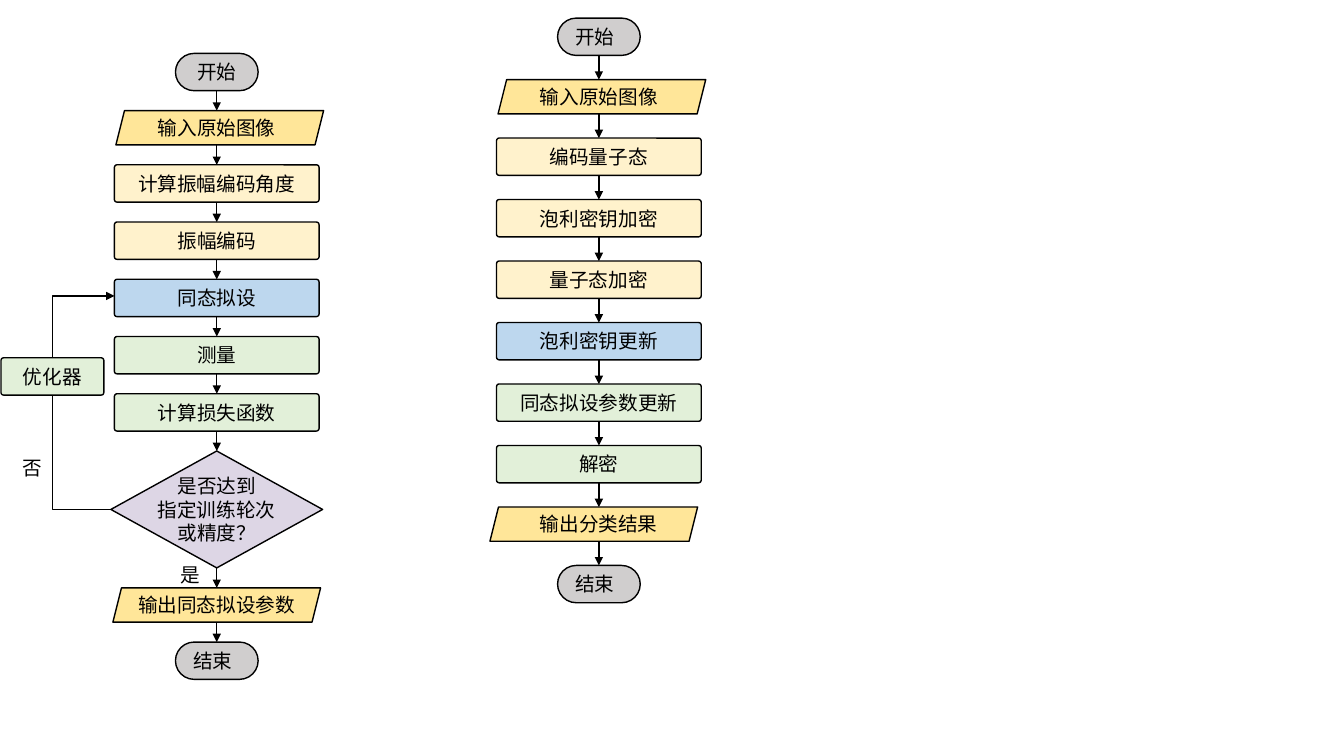
from dataclasses import dataclass

from lxml import etree
from pptx import Presentation
from pptx.dml.color import RGBColor
from pptx.enum import shapes, text
from pptx.oxml import ns
from pptx.util import Inches, Pt


class Theme:
    FONT = "Noto Sans CJK SC"
    SIZE = Pt(14)
    LEADING = Pt(16.8)
    LINE = Pt(1)
    INK = "000000"
    GREY = "D0CECE"
    GOLD = "FFE699"
    CREAM = "FFF2CC"
    BLUE = "BDD7EE"
    GREEN = "E2F0D9"
    LILAC = "DDD6E5"


@dataclass
class Kind:
    preset: shapes.MSO_SHAPE
    width: float
    height: float
    corner: float | None = None
    wrap: bool = True


TERMINAL = Kind(shapes.MSO_SHAPE.ROUNDED_RECTANGLE, 0.82, 0.37, 0.5)
DATA = Kind(shapes.MSO_SHAPE.PARALLELOGRAM, 2.06, 0.34)
PROCESS = Kind(shapes.MSO_SHAPE.ROUNDED_RECTANGLE, 2.03, 0.37, 0.07)
OPTIMIZER = Kind(shapes.MSO_SHAPE.ROUNDED_RECTANGLE, 1.02, 0.37, 0.07)
DECISION = Kind(shapes.MSO_SHAPE.DIAMOND, 2.1, 1.16, wrap=False)


@dataclass
class Step:
    """One node; the shifts move its outline and label off the column axis."""
    kind: Kind
    label: str
    fill: str
    outline_shift: float = 0
    label_shift: float = 0


TRAINING = [
    Step(TERMINAL, "开始", Theme.GREY),
    Step(DATA, "输入原始图像", Theme.GOLD, outline_shift=0.03),
    Step(PROCESS, "计算振幅编码角度", Theme.CREAM),
    Step(PROCESS, "振幅编码", Theme.CREAM),
    Step(PROCESS, "同态拟设", Theme.BLUE),
    Step(PROCESS, "测量", Theme.GREEN),
    Step(PROCESS, "计算损失函数", Theme.GREEN),
    Step(DECISION, "是否达到\n指定训练轮次\n或精度？", Theme.LILAC),
    Step(DATA, "输出同态拟设参数", Theme.GOLD),
    Step(TERMINAL, "结束", Theme.GREY, label_shift=-0.04),
]
INFERENCE = [
    Step(TERMINAL, "开始", Theme.GREY, label_shift=-0.04),
    Step(DATA, "输入原始图像", Theme.GOLD, outline_shift=0.03),
    Step(PROCESS, "编码量子态", Theme.CREAM),
    Step(PROCESS, "泡利密钥加密", Theme.CREAM),
    Step(PROCESS, "量子态加密", Theme.CREAM),
    Step(PROCESS, "泡利密钥更新", Theme.BLUE),
    Step(PROCESS, "同态拟设参数更新", Theme.GREEN),
    Step(PROCESS, "解密", Theme.GREEN),
    Step(DATA, "输出分类结果", Theme.GOLD, outline_shift=-0.05),
    Step(TERMINAL, "结束", Theme.GREY, label_shift=-0.04),
]


def write_label(frame, label, wrap=False, shift=0):
    """Centre the label in its frame, moved sideways by shift inches."""
    frame_format = {
        "word_wrap": wrap,
        "vertical_anchor": text.MSO_ANCHOR.MIDDLE,
        "margin_left": Inches(max(0, 2 * shift)),
        "margin_right": Inches(max(0, -2 * shift)),
        "margin_top": 0,
        "margin_bottom": 0,
    }
    for name, value in frame_format.items():
        setattr(frame, name, value)
    frame.text = label
    for paragraph in frame.paragraphs:
        paragraph.alignment = text.PP_ALIGN.CENTER
        paragraph.line_spacing = Theme.LEADING
        for run in paragraph.runs:
            run.font.name = Theme.FONT
            run.font.size = Theme.SIZE
            run.font.color.rgb = RGBColor.from_string(Theme.INK)
            east_asian = etree.SubElement(run.font._element, ns.qn("a:ea"))
            east_asian.set("typeface", Theme.FONT)


def add_step(slide, step, axis, top):
    kind = step.kind
    left = axis + step.outline_shift - kind.width / 2
    node = slide.shapes.add_shape(
        kind.preset, Inches(left), Inches(top), Inches(kind.width), Inches(kind.height))
    if kind.corner is not None:
        node.adjustments[0] = kind.corner
    node.shadow.inherit = False
    node.fill.solid()
    node.fill.fore_color.rgb = RGBColor.from_string(step.fill)
    node.line.color.rgb = RGBColor.from_string(Theme.INK)
    node.line.width = Theme.LINE
    write_label(node.text_frame, step.label, kind.wrap,
                step.label_shift - step.outline_shift)


def add_arrow(slide, start, end, route=shapes.MSO_CONNECTOR.STRAIGHT):
    arrow = slide.shapes.add_connector(
        route, *(Inches(length) for length in (*start, *end)))
    arrow.line.color.rgb = RGBColor.from_string(Theme.INK)
    arrow.line.width = Theme.LINE
    etree.SubElement(arrow.line._get_or_add_ln(), ns.qn("a:tailEnd"), type="triangle")
    etree.SubElement(arrow._element.spPr, ns.qn("a:effectLst"))
    return arrow


def add_branch_label(slide, label, left, top):
    box = slide.shapes.add_textbox(
        Inches(left), Inches(top), Inches(0.4), Inches(0.34))
    write_label(box.text_frame, label)


def build_flow(slide, steps, axis, top, height):
    """Spread the steps evenly down the axis and return the top of each."""
    gap = (height - sum(step.kind.height for step in steps)) / (len(steps) - 1)
    tops = []
    for step in steps:
        if tops:
            add_arrow(slide, (axis, top - gap), (axis, top))
        add_step(slide, step, axis, top)
        tops.append(top)
        top += step.kind.height + gap
    return tops


def build_training(slide, axis, top, height):
    """The training flow with its optimizer loop back to the ansatz."""
    tops = build_flow(slide, TRAINING, axis, top, height)
    kinds = [step.kind for step in TRAINING]
    decision = kinds.index(DECISION)
    ansatz = [step.label for step in TRAINING].index("同态拟设")
    decision_left = axis - DECISION.width / 2
    ansatz_left = axis - PROCESS.width / 2
    loop_axis = axis - 1.63
    loop = add_arrow(
        slide,
        (decision_left, tops[decision] + DECISION.height / 2),
        (ansatz_left, tops[ansatz] + PROCESS.height / 2 - 0.02),
        shapes.MSO_CONNECTOR.ELBOW)
    bend = (loop_axis - decision_left) / (ansatz_left - decision_left)
    guides = loop._element.spPr.find(ns.qn("a:prstGeom")).get_or_add_avLst()
    etree.SubElement(guides, ns.qn("a:gd"), name="adj1", fmla=f"val {round(bend * 100000)}")
    add_step(slide, Step(OPTIMIZER, "优化器", Theme.GREEN), loop_axis, top + 3.02)
    add_branch_label(slide, "否", loop_axis - 0.4, tops[decision])
    add_branch_label(slide, "是", axis - 0.46, tops[decision + 1] - 0.3)


def main():
    deck = Presentation()
    deck.slide_width, deck.slide_height = Inches(13.33), Inches(7.5)
    slide = deck.slides.add_slide(deck.slide_layouts[6])
    build_training(slide, axis=2.15, top=0.53, height=6.21)
    build_flow(slide, INFERENCE, axis=5.94, top=0.18, height=5.8)
    deck.save("out.pptx")


if __name__ == "__main__":
    main()
